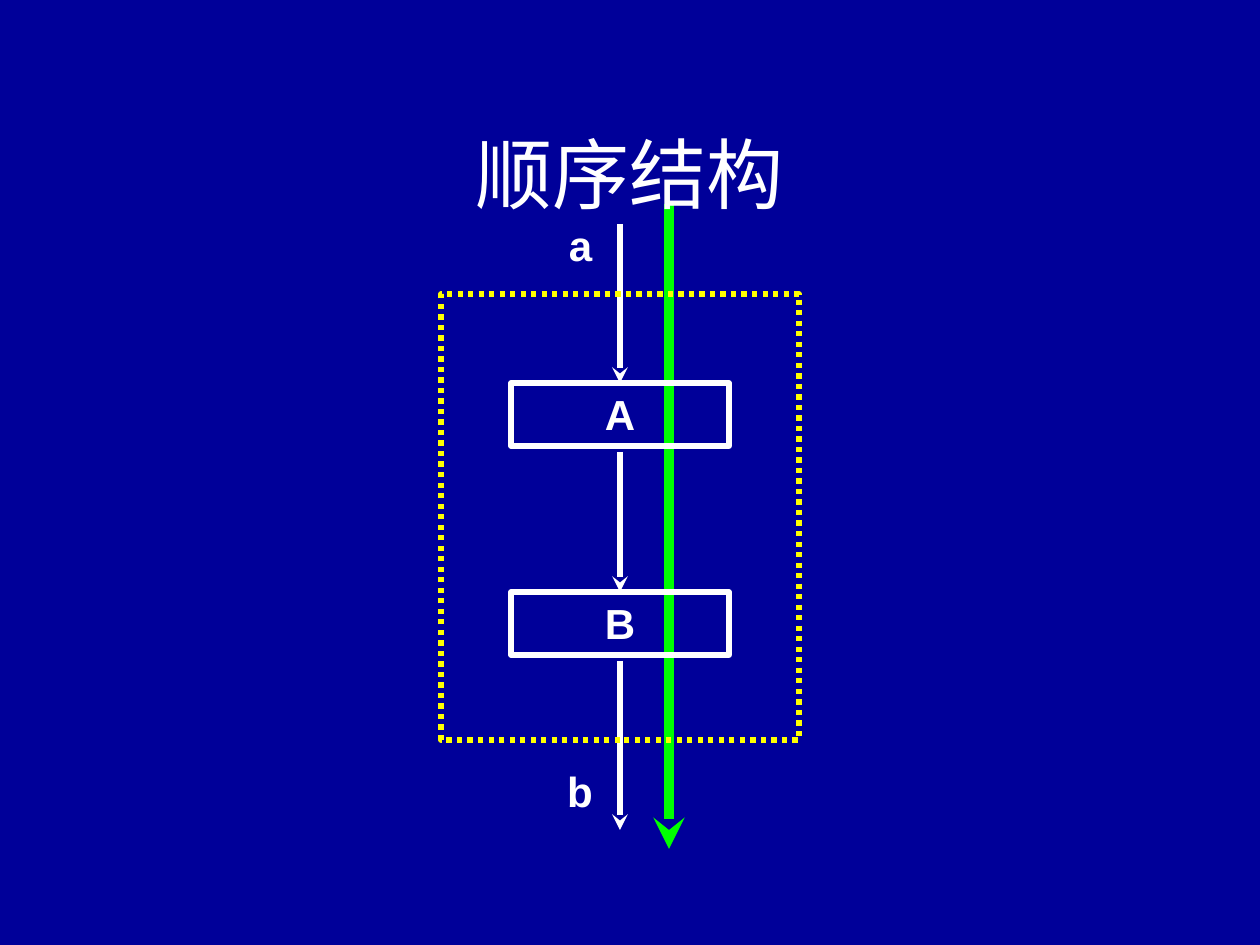
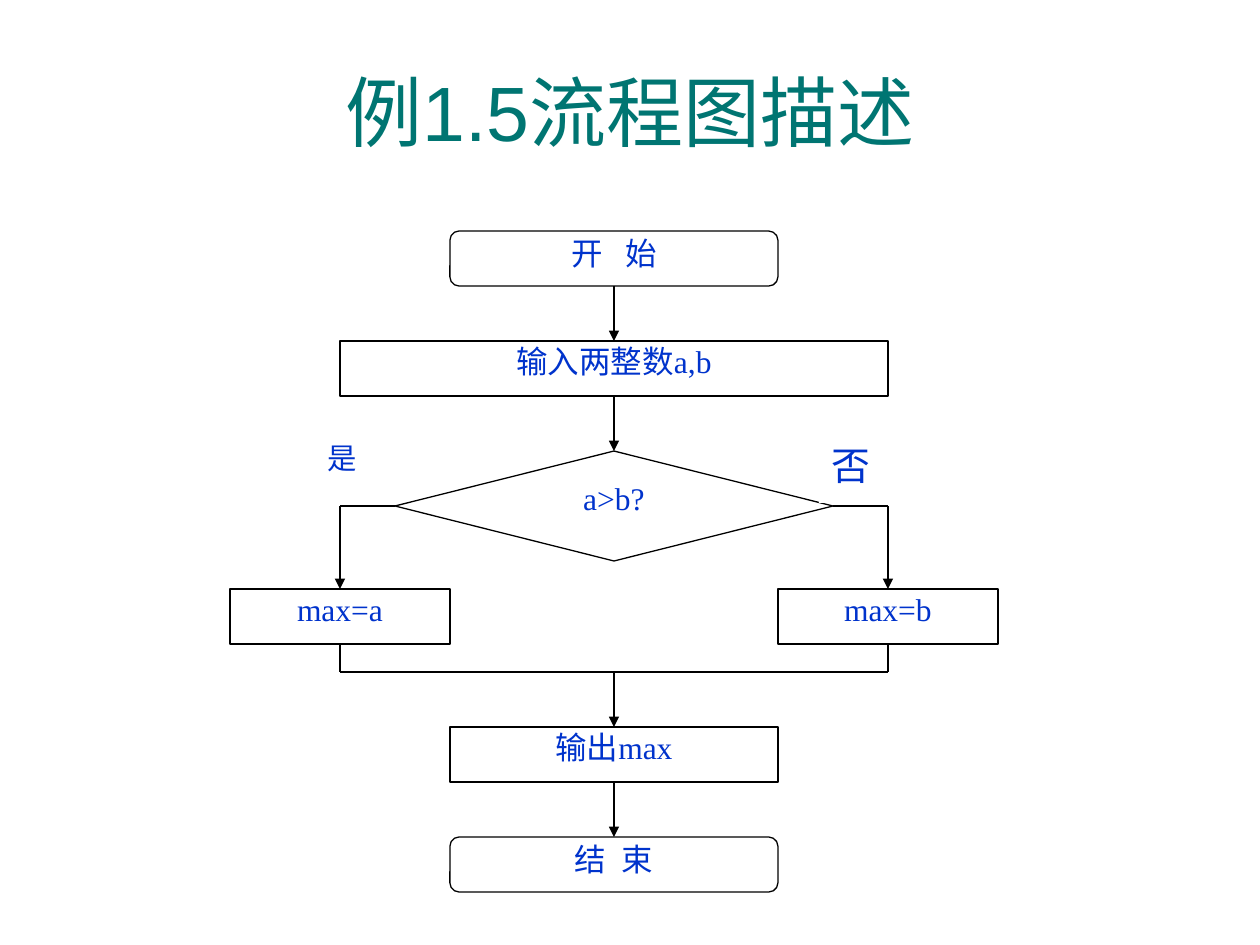
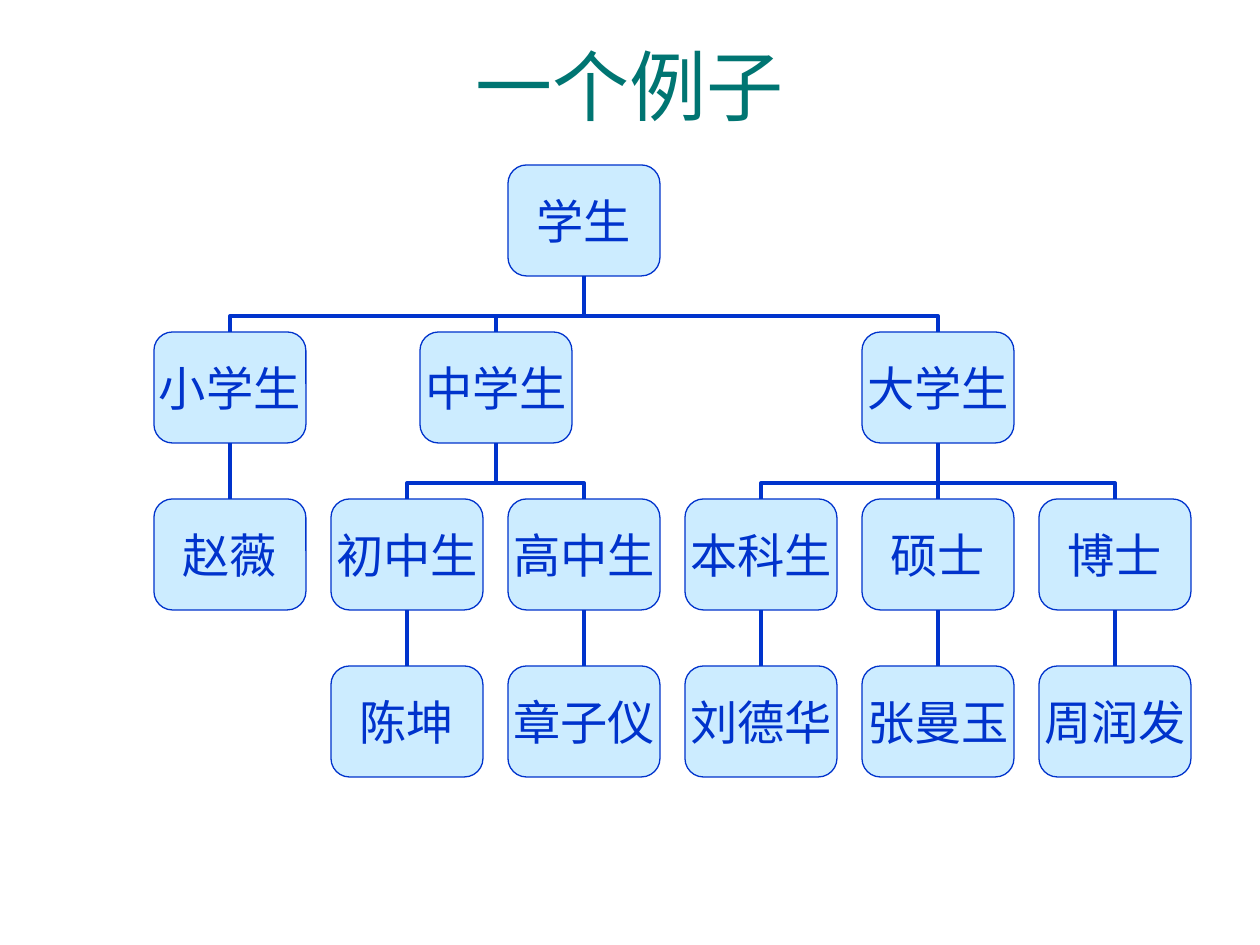
from dataclasses import dataclass, replace
from itertools import count
from typing import Iterator, NamedTuple, Optional, Union

from lxml import etree
from pptx import Presentation
from pptx import util as u
from pptx.dml.color import RGBColor
from pptx.enum import dml, shapes, text
from pptx.oxml.ns import qn

PX_PER_INCH = 126
WIDTH, HEIGHT = 1260, 945

WHITE = RGBColor(0xFF, 0xFF, 0xFF)
BLACK = RGBColor(0x00, 0x00, 0x00)
NAVY = RGBColor(0x00, 0x00, 0x99)
GREEN = RGBColor(0x00, 0xFF, 0x00)
YELLOW = RGBColor(0xFF, 0xFF, 0x00)
TEAL = RGBColor(0x00, 0x75, 0x72)
BLUE = RGBColor(0x00, 0x33, 0xCC)
PALE = RGBColor(0xCC, 0xEC, 0xFF)

RECT = shapes.MSO_SHAPE.RECTANGLE
ROUND = shapes.MSO_SHAPE.ROUNDED_RECTANGLE
DECISION = shapes.MSO_SHAPE.FLOWCHART_DECISION
STRAIGHT = shapes.MSO_CONNECTOR.STRAIGHT
ELBOW = shapes.MSO_CONNECTOR.ELBOW
TOP, LEFT, BOTTOM, RIGHT = range(4)


class Area(NamedTuple):
    left: int
    top: int
    width: int
    height: int


class Point(NamedTuple):
    x: int
    y: int


class Port(NamedTuple):
    """The middle of one side of a shape."""
    shape: object
    side: int


End = Union[Point, Port]


@dataclass(frozen=True)
class Stroke:
    color: RGBColor
    weight: float
    head: str = ""
    dash: Optional[dml.MSO_LINE] = None


@dataclass(frozen=True)
class Type:
    font: str
    size: float
    color: RGBColor
    bold: bool = False
    align: text.PP_ALIGN = text.PP_ALIGN.CENTER
    anchor: text.MSO_ANCHOR = text.MSO_ANCHOR.TOP
    inset: tuple[int, int] = (13, 6)
    wrap: bool = True
    leading: Optional[float] = None
    tracking: float = 0


@dataclass(frozen=True)
class Look:
    kind: shapes.MSO_SHAPE
    fill: Optional[RGBColor] = None
    stroke: Optional[Stroke] = None


@dataclass(frozen=True)
class Branch:
    name: str
    members: tuple["Branch", ...] = ()


TITLE = Type("Arial", 44, TEAL, anchor=text.MSO_ANCHOR.MIDDLE)


def px(length: float) -> u.Emu:
    return u.Inches(length / PX_PER_INCH)


def set_all(target: object, values: dict) -> None:
    for name, value in values.items():
        setattr(target, name, value)


def apply_stroke(line: object, stroke: Stroke) -> None:
    line.color.rgb = stroke.color
    line.width = u.Pt(stroke.weight)
    if stroke.dash:
        line.dash_style = stroke.dash


def write(box: object, words: str, style: Type) -> None:
    across, down = (px(length) for length in style.inset)
    frame = box.text_frame
    set_all(frame, {
        "word_wrap": style.wrap, "vertical_anchor": style.anchor,
        "margin_left": across, "margin_right": across,
        "margin_top": down, "margin_bottom": down,
    })
    para = frame.paragraphs[0]
    para.alignment = style.align
    if style.leading:
        para.line_spacing = style.leading
    span = para.add_run()
    span.text = words
    set_all(span.font, {"name": style.font, "size": u.Pt(style.size), "bold": style.bold})
    span.font.color.rgb = style.color
    if style.tracking:
        span.font._element.set("spc", str(round(style.tracking * 100)))


def add_text(page: object, area: Area, words: str, style: Type) -> None:
    write(page.shapes.add_textbox(*map(px, area)), words, style)


def add_box(page: object, area: Area, look: Look, words: str = "",
            style: Type = TITLE) -> object:
    box = page.shapes.add_shape(look.kind, *map(px, area))
    box.shadow.inherit = False
    if look.fill is None:
        box.fill.background()
    else:
        box.fill.solid()
        box.fill.fore_color.rgb = look.fill
    if look.stroke is None:
        box.line.fill.background()
    else:
        apply_stroke(box.line, look.stroke)
    if words:
        write(box, words, style)
    return box


def add_link(page: object, start: End, end: End, stroke: Stroke,
             kind: shapes.MSO_CONNECTOR = STRAIGHT) -> object:
    """Draw a connector, joined to a shape at each end that is a port."""
    places = [px(value) for point in (start, end)
              for value in (point if isinstance(point, Point) else (0, 0))]
    link = page.shapes.add_connector(kind, *places)
    if isinstance(start, Port):
        link.begin_connect(*start)
    if isinstance(end, Port):
        link.end_connect(*end)
    apply_stroke(link.line, stroke)
    if stroke.head:
        etree.SubElement(link.line._get_or_add_ln(), qn("a:tailEnd"), type=stroke.head)
    etree.SubElement(link._element.spPr, qn("a:effectLst"))
    return link


def add_page(deck: object, background: RGBColor) -> object:
    page = deck.slides.add_slide(deck.slide_layouts[6])
    page.background.fill.solid()
    page.background.fill.fore_color.rgb = background
    return page


def add_title(page: object, words: str, top: int, height: int,
              color: RGBColor = TEAL) -> None:
    add_text(page, Area(42, top, 1176, height), words, replace(TITLE, color=color))


def sequence_page(deck: object) -> None:
    page = add_page(deck, NAVY)
    letter = Type("Arial", 24, WHITE, bold=True)
    arrow = Stroke(WHITE, 3, "stealth")
    step = Look(RECT, stroke=Stroke(WHITE, 3))
    axis = 620

    add_link(page, Point(669, 204), Point(669, 849), Stroke(GREEN, 6, "stealth"))
    add_title(page, "顺序结构", 94, 158, WHITE)
    for name, top, arrow_top in (("A", 383, 224), ("B", 592, 452)):
        box = add_box(page, Area(axis - 109, top, 218, 63), step, name, letter)
        add_link(page, Point(axis, arrow_top), Port(box, TOP), arrow)
    add_link(page, Point(axis, 661), Point(axis, 830), arrow)
    add_box(page, Area(441, 294, 358, 446),
            Look(RECT, stroke=Stroke(YELLOW, 3, dash=dml.MSO_LINE.ROUND_DOT)))
    add_text(page, Area(541, 214, 79, 63), "a", letter)
    add_text(page, Area(530, 760, 100, 63), "b", letter)


def flowchart_page(deck: object) -> None:
    page = add_page(deck, WHITE)
    add_title(page, "例1.5流程图描述", 32, 158)
    line = Stroke(BLACK, 0.75)
    arrow = replace(line, head="triangle")
    label = Type("Times New Roman", 18, BLUE, inset=(3, 1))
    snug = replace(label, inset=(3, 0))
    axis, reach, bus = 614, 274, 672

    def node(middle: int, top: int, width: int, words: str, style: Type = label,
             kind: shapes.MSO_SHAPE = RECT, height: int = 55) -> object:
        area = Area(middle - width // 2, top, width, height)
        return add_box(page, area, Look(kind, WHITE, line), words, style)

    start = node(axis, 231, 328, "开 始", replace(snug, tracking=4.5), ROUND)
    entry = node(axis, 341, 548, "输入两整数a,b")
    test = node(axis, 451, 438, "a>b?", snug, DECISION, 110)
    output = node(axis, 727, 328, "输出max")
    finish = node(axis, 837, 328, "结 束", replace(snug, tracking=2.25), ROUND)
    for upper, lower in ((start, entry), (entry, test), (output, finish)):
        add_link(page, Port(upper, BOTTOM), Port(lower, TOP), arrow)

    for side, middle, words in ((LEFT, axis - reach, "max=a"), (RIGHT, axis + reach, "max=b")):
        choice = node(middle, 589, 220, words)
        corner = Point(middle, 506)
        add_link(page, Port(test, side), corner, line)
        add_link(page, corner, Port(choice, TOP), arrow)
        add_link(page, Port(choice, BOTTOM), Point(middle, bus), line)
    add_link(page, Point(axis - reach, bus), Point(axis + reach, bus), line)
    add_link(page, Point(axis, bus), Port(output, TOP), arrow)

    for words, left, height, size, leading in (("是", 315, 50, 16.8, 0.8),
                                               ("否", 819, 62, 22.2, 0.9)):
        answer = Type("Times New Roman", size, BLUE, align=text.PP_ALIGN.JUSTIFY,
                      leading=leading)
        add_box(page, Area(left, 441, 128, height), Look(RECT, WHITE), words, answer)


STUDENTS = Branch("学生", (
    Branch("小学生", (Branch("赵薇"),)),
    Branch("中学生", (
        Branch("初中生", (Branch("陈坤"),)),
        Branch("高中生", (Branch("章子仪"),)),
    )),
    Branch("大学生", (
        Branch("本科生", (Branch("刘德华"),)),
        Branch("硕士", (Branch("张曼玉"),)),
        Branch("博士", (Branch("周润发"),)),
    )),
))
TREE_LINE = Stroke(BLUE, 2.25)
TREE_LOOK = Look(ROUND, PALE, Stroke(BLUE, 0.75))
TREE_TYPE = Type("Roboto", 27, BLUE, anchor=text.MSO_ANCHOR.MIDDLE, inset=(0, 0), wrap=False)


def link_to_parent(page: object, child: object, parent: object) -> None:
    """Join a child's top to its parent's bottom, turning below the parent."""
    ends = Port(child, TOP), Port(parent, BOTTOM)
    shift = parent.left - child.left
    if abs(shift) < px(2):
        add_link(page, *ends, TREE_LINE)
        return
    link = add_link(page, *ends, TREE_LINE, ELBOW)
    rise = child.top - parent.top - parent.height
    spread = abs(shift)
    middle_x = (child.left + parent.left + child.width) // 2
    middle_y = child.top - rise // 2
    set_all(link, {
        "left": middle_x - rise // 2, "top": middle_y - spread // 2,
        "width": rise, "height": spread,
    })
    turn = {"rot": "5400000", "flipH": "1"} if shift > 0 else {"rot": "16200000", "flipH": "0"}
    frame = link._element.spPr.find(qn("a:xfrm"))
    for name, value in {**turn, "flipV": "1"}.items():
        frame.set(name, value)
    guides = link._element.spPr.find(qn("a:prstGeom")).find(qn("a:avLst"))
    etree.SubElement(guides, qn("a:gd"), name="adj1", fmla="val 28200")


def draw_branch(page: object, branch: Branch, depth: int,
                columns: Iterator[int]) -> tuple[object, float]:
    """Give each leaf the next column and centre each parent over its members."""
    members = [draw_branch(page, member, depth + 1, columns) for member in branch.members]
    column = (members[0][1] + members[-1][1]) / 2 if members else next(columns)
    area = Area(154 + round(177 * column), 165 + 167 * depth, 152, 111)
    box = add_box(page, area, TREE_LOOK, branch.name, TREE_TYPE)
    for member, _ in members:
        link_to_parent(page, member, box)
    return box, column


def tree_page(deck: object) -> None:
    page = add_page(deck, WHITE)
    add_title(page, "一个例子", 32, 105)
    draw_branch(page, STUDENTS, 0, count())


def main() -> None:
    deck = Presentation()
    set_all(deck, {"slide_width": px(WIDTH), "slide_height": px(HEIGHT)})
    for build in (sequence_page, flowchart_page, tree_page):
        build(deck)
    deck.save("out.pptx")


if __name__ == "__main__":
    main()
